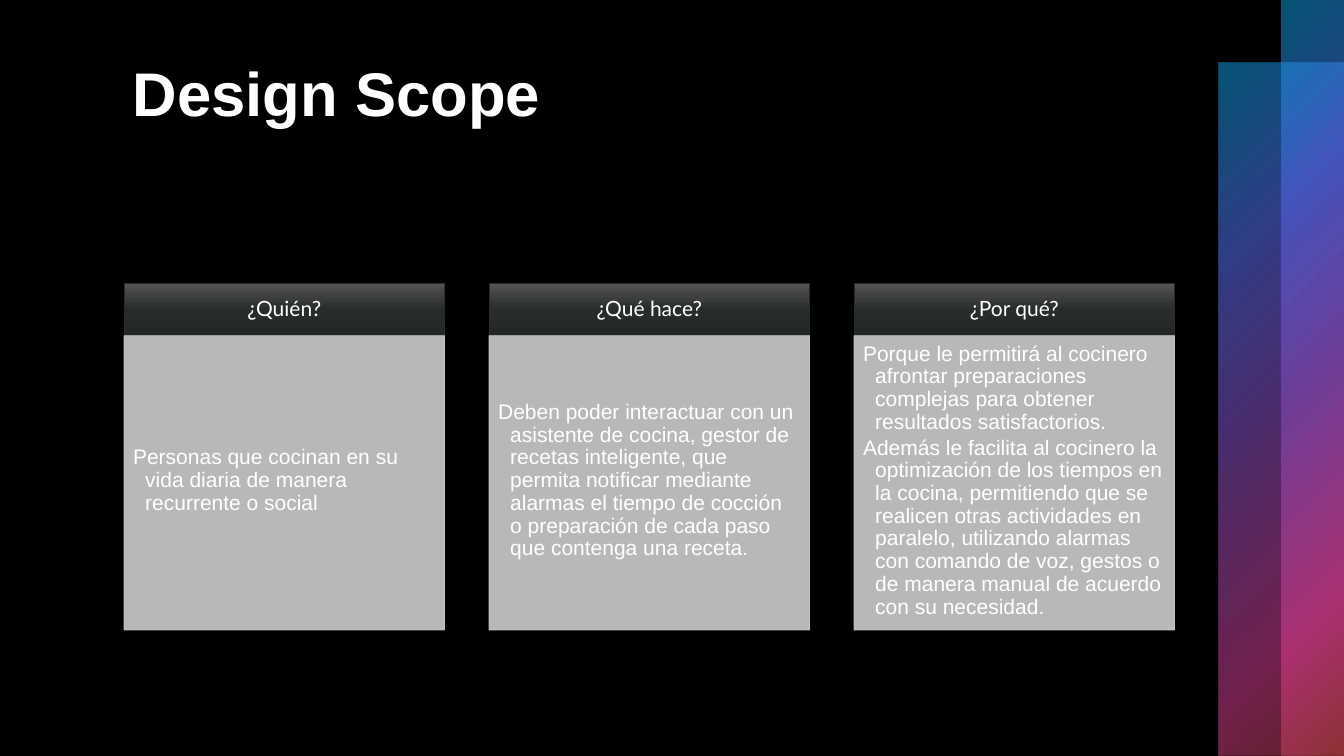
import pptx
import pptx.dml.color
import pptx.enum.shapes
import pptx.enum.text
import pptx.oxml
import pptx.oxml.ns
import pptx.util

SLIDE_WIDTH, SLIDE_HEIGHT = 13.33, 7.5
BAR_UNIT = 0.62
CARD_LEFT, CARD_WIDTH, CARD_STEP = 1.23, 3.18, 3.62
HEADER_TOP, HEADER_HEIGHT, BODY_HEIGHT = 2.81, 0.52, 2.92

COLORS = {
    "background": "000000",
    "text": "FFFFFF",
    "header_top": "535454",
    "header_middle": "292C2D",
    "header_bottom": "242728",
    "body": "CDCDCD",
    "blue": "0BA5E8",
    "indigo": "5066E1",
    "violet": "894EC0",
    "pink": "E54196",
    "red": "BE4449",
}

BAR_STOPS = [(0, "blue", 50), (25, "indigo", 60), (50, "violet", 55),
             (81, "pink", 50), (99, "red", 50)]
BAR_DIRECTION = ('<a:path path="circle">'
                 '<a:fillToRect l="0" t="0" r="100000" b="100000"/></a:path>')
HEADER_STOPS = [(0, "header_top", 100), (50, "header_middle", 100),
                (100, "header_bottom", 100)]
HEADER_DIRECTION = '<a:lin ang="5400000" scaled="0"/>'

CARDS = [
    ("¿Quién?", ["Personas que cocinan en su vida diaria de manera recurrente o social"]),
    ("¿Qué hace?", ["Deben poder interactuar con un asistente de cocina, gestor de recetas "
                    "inteligente, que permita notificar mediante alarmas el tiempo de cocción "
                    "o preparación de cada paso que contenga una receta."]),
    ("¿Por qué?", ["Porque le permitirá al cocinero afrontar preparaciones complejas para "
                   "obtener resultados satisfactorios.",
                   "Además le facilita al cocinero la optimización de los tiempos en la "
                   "cocina, permitiendo que se realicen otras actividades en paralelo, "
                   "utilizando alarmas con comando de voz, gestos o de manera manual de "
                   "acuerdo con su necesidad."]),
]


def color(name):
    return pptx.dml.color.RGBColor.from_string(COLORS[name])


def inches(*lengths):
    return [pptx.util.Inches(length) for length in lengths]


def add_rectangle(slide, left, top, width, height, line=None):
    shape = slide.shapes.add_shape(pptx.enum.shapes.MSO_SHAPE.RECTANGLE,
                                   *inches(left, top, width, height))
    shape.shadow.inherit = False
    if line:
        shape.line.color.rgb = color(line)
        shape.line.width = pptx.util.Pt(0.5)
    else:
        shape.line.fill.background()
    return shape


def set_gradient(shape, stops, direction):
    stop_xml = "".join(
        f'<a:gs pos="{position * 1000}"><a:srgbClr val="{COLORS[name]}">'
        f'<a:alpha val="{opacity * 1000}"/></a:srgbClr></a:gs>'
        for position, name, opacity in stops)
    gradient = pptx.oxml.parse_xml(
        f'<a:gradFill {pptx.oxml.ns.nsdecls("a")} rotWithShape="1">'
        f'<a:gsLst>{stop_xml}</a:gsLst>{direction}</a:gradFill>')
    shape.fill.background()
    properties = shape._element.spPr
    properties.replace(properties.find(pptx.oxml.ns.qn("a:noFill")), gradient)


def set_opacity(shape, percent):
    for element in list(shape._element.spPr.iter(pptx.oxml.ns.qn("a:srgbClr"))):
        element.append(pptx.oxml.parse_xml(
            f'<a:alpha {pptx.oxml.ns.nsdecls("a")} val="{percent * 1000}"/>'))


def write_text(shape, texts, size=15, font="Arial", bold=False, align="LEFT", anchor="MIDDLE",
               insets=(0.1, 0.05, 0.1, 0.05), line_spacing=1.0, space_after=0, hanging=0):
    frame = shape.text_frame
    frame.word_wrap = True
    frame.vertical_anchor = pptx.enum.text.MSO_ANCHOR[anchor]
    (frame.margin_left, frame.margin_top,
     frame.margin_right, frame.margin_bottom) = inches(*insets)
    for index, text in enumerate(texts):
        paragraph = frame.add_paragraph() if index else frame.paragraphs[0]
        paragraph.alignment = pptx.enum.text.PP_ALIGN[align]
        paragraph.line_spacing = line_spacing
        paragraph.space_after = pptx.util.Pt(space_after)
        if hanging:
            properties = paragraph._p.get_or_add_pPr()
            properties.set("marL", str(pptx.util.Inches(hanging)))
            properties.set("indent", str(-pptx.util.Inches(hanging)))
        run = paragraph.add_run()
        run.text = text
        run.font.name = font
        run.font.size = pptx.util.Pt(size)
        run.font.bold = bold
        run.font.color.rgb = color("text")


def add_bar(slide, width, top):
    bar = add_rectangle(slide, SLIDE_WIDTH - width, top, width, SLIDE_HEIGHT - top)
    set_gradient(bar, BAR_STOPS, BAR_DIRECTION)


def add_card(slide, column, heading, texts):
    left = CARD_LEFT + column * CARD_STEP
    header = add_rectangle(slide, left, HEADER_TOP, CARD_WIDTH, HEADER_HEIGHT, "header_middle")
    set_gradient(header, HEADER_STOPS, HEADER_DIRECTION)
    write_text(header, [heading], font="Lato", align="CENTER",
               insets=(0.12, 0.07, 0.12, 0.07), line_spacing=0.9, space_after=5.25)

    body = add_rectangle(slide, left, HEADER_TOP + HEADER_HEIGHT, CARD_WIDTH, BODY_HEIGHT, "body")
    body.fill.solid()
    body.fill.fore_color.rgb = color("body")
    set_opacity(body, 90)
    write_text(body, texts, insets=(0.09, 0.09, 0.12, 0.13),
               line_spacing=0.9, space_after=2.25, hanging=0.12)


def main():
    presentation = pptx.Presentation()
    presentation.slide_width, presentation.slide_height = inches(SLIDE_WIDTH, SLIDE_HEIGHT)
    slide = presentation.slides.add_slide(presentation.slide_layouts[6])
    slide.background.fill.solid()
    slide.background.fill.fore_color.rgb = color("background")

    add_bar(slide, 2 * BAR_UNIT, BAR_UNIT)
    add_bar(slide, BAR_UNIT, 0)

    title = slide.shapes.add_textbox(*inches(1.22, 0.5, 10.37, 1.7))
    write_text(title, ["Design Scope"], size=44, bold=True, anchor="TOP")

    for column, (heading, texts) in enumerate(CARDS):
        add_card(slide, column, heading, texts)

    presentation.save("out.pptx")


if __name__ == "__main__":
    main()
